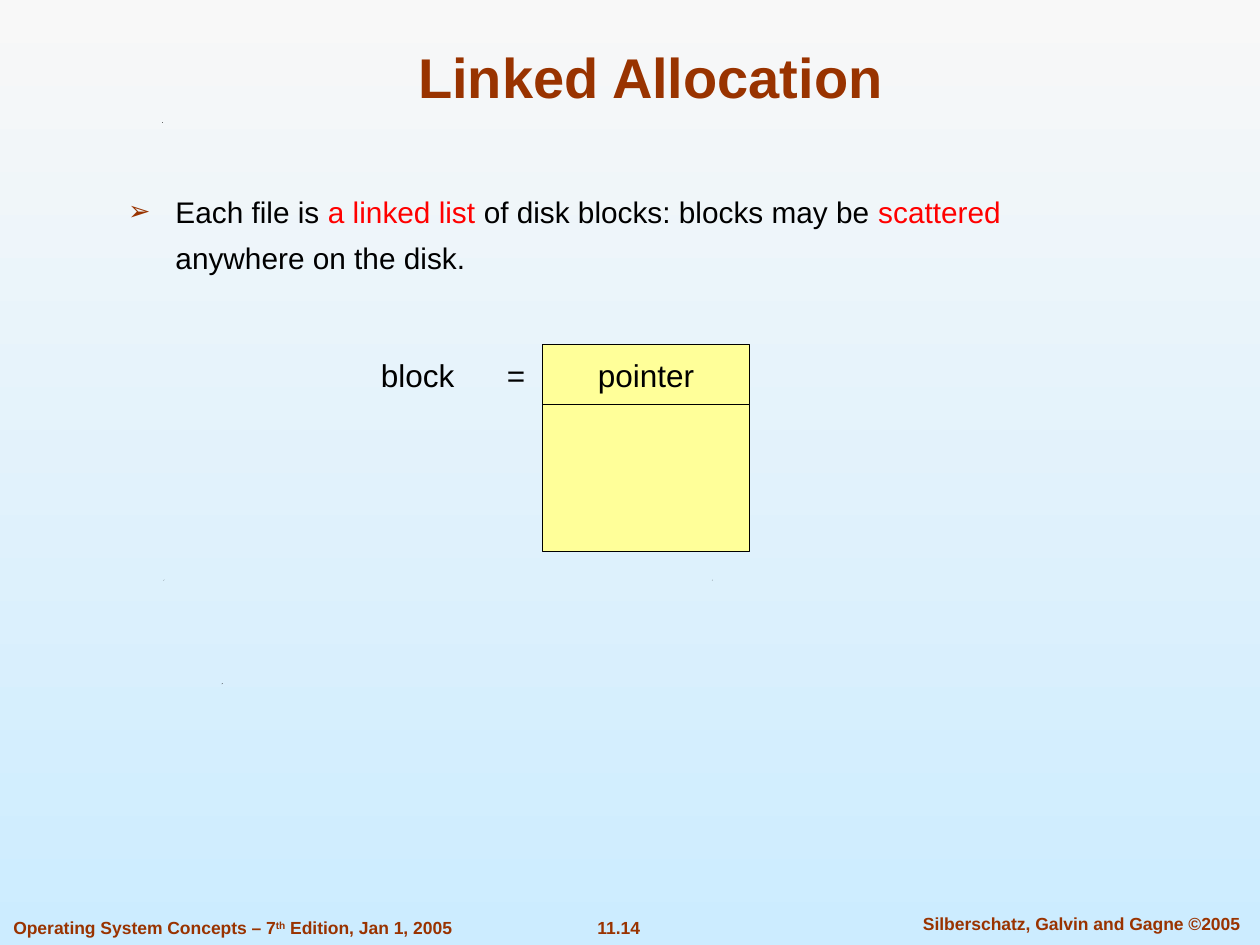
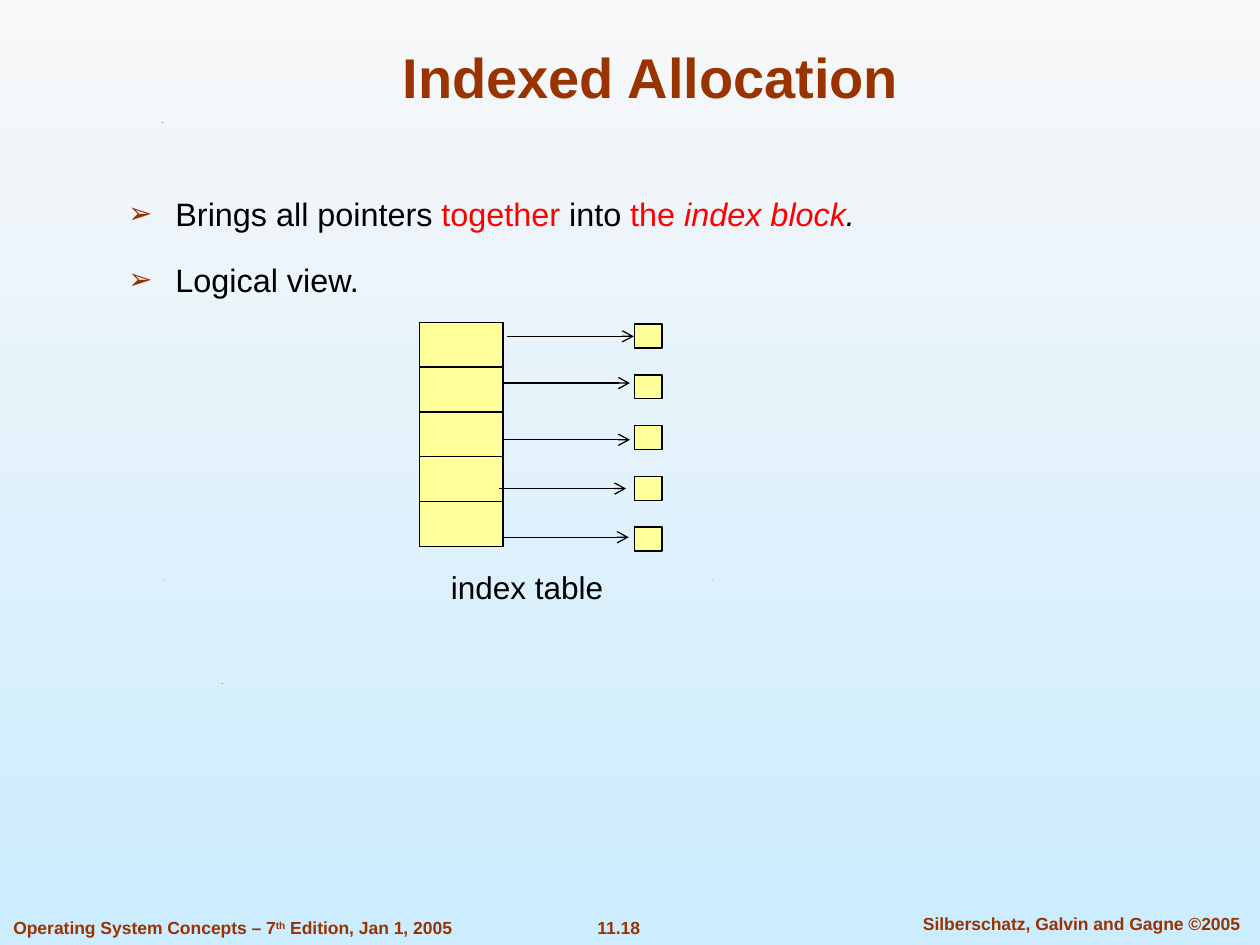
from dataclasses import dataclass

from lxml.etree import SubElement
from pptx import Presentation
from pptx.dml.color import RGBColor
from pptx.enum.shapes import MSO_CONNECTOR, MSO_SHAPE
from pptx.enum.text import MSO_ANCHOR, MSO_AUTO_SIZE, PP_ALIGN
from pptx.oxml.ns import qn
from pptx.util import Pt

RUST = RGBColor(0x99, 0x33, 0x00)
RED = RGBColor(0xFF, 0x00, 0x00)
BLACK = RGBColor(0x00, 0x00, 0x00)
YELLOW = RGBColor(0xFF, 0xFF, 0x99)
SKY_TOP = RGBColor(0xF8, 0xF8, 0xF8)
SKY_BOTTOM = RGBColor(0xCC, 0xEC, 0xFF)

FONT = "Arial"
LINE_WIDTH = 0.75
BULLET_INDENT = 27
TITLE_ONLY = 5


@dataclass(frozen=True)
class Box:
    """Position and size in points."""

    left: float
    top: float
    width: float
    height: float

    def lengths(self) -> tuple:
        """Return the four lengths for a shape call."""
        return Pt(self.left), Pt(self.top), Pt(self.width), Pt(self.height)


@dataclass(frozen=True)
class TextRun:
    """A piece of text with its own look."""

    text: str
    color: RGBColor = BLACK
    size: float = 18
    bold: bool = False
    italic: bool = False
    superscript: bool = False


TITLE_BOX = Box(54, 18, 635.8, 48.2)
SPECKS = [(92.6, 69.8), (93.4, 331.2), (406.8, 331.2), (126.7, 390.4)]
ARROW_STARTS = [(289.5, 192.2), (287.3, 218.9), (287.3, 251.3), (285.1, 279.2), (286.6, 307)]
ARROW_LENGTH = 72.7


def footer_run(text: str, superscript: bool = False) -> TextRun:
    """Return a run in the footer style."""
    return TextRun(text, RUST, 10, bold=True, superscript=superscript)


def add_run(paragraph, piece: TextRun) -> None:
    """Append one formatted run to a paragraph."""
    run = paragraph.add_run()
    run.text = piece.text
    font = run.font
    font.name = FONT
    font.size = Pt(piece.size)
    font.bold = piece.bold
    font.italic = piece.italic
    font.color.rgb = piece.color
    if piece.superscript:
        run._r.get_or_add_rPr().set("baseline", "30000")


def add_text(slide, box: Box, pieces: list[TextRun], align=PP_ALIGN.CENTER, anchor=MSO_ANCHOR.TOP):
    """Add a one-paragraph text box and return the paragraph."""
    frame = slide.shapes.add_textbox(*box.lengths()).text_frame
    frame.word_wrap = True
    frame.vertical_anchor = anchor
    paragraph = frame.paragraphs[0]
    paragraph.alignment = align
    for piece in pieces:
        add_run(paragraph, piece)
    return paragraph


def set_bullet(paragraph) -> None:
    """Give a paragraph the rust arrow bullet and a hanging indent."""
    properties = paragraph._p.get_or_add_pPr()
    properties.set("marL", str(Pt(BULLET_INDENT)))
    properties.set("indent", str(-Pt(BULLET_INDENT)))
    color = SubElement(properties, qn("a:buClr"))
    SubElement(color, qn("a:srgbClr"), val=str(RUST))
    SubElement(properties, qn("a:buSzPct"), val="90000")
    SubElement(properties, qn("a:buFont"), typeface=FONT)
    SubElement(properties, qn("a:buChar"), char="➢")


def add_bullets(slide, box: Box, bullets: list[list[TextRun]]) -> None:
    """Add the bulleted body text."""
    frame = slide.shapes.add_textbox(*box.lengths()).text_frame
    frame.word_wrap = True
    for index, pieces in enumerate(bullets):
        paragraph = frame.add_paragraph() if index else frame.paragraphs[0]
        set_bullet(paragraph)
        paragraph.line_spacing = 1.3
        if index:
            paragraph.space_before = Pt(8.8)
        for piece in pieces:
            add_run(paragraph, piece)


def add_block(slide, box: Box, label: str = "") -> None:
    """Add a yellow outlined rectangle with an optional label."""
    shape = slide.shapes.add_shape(MSO_SHAPE.RECTANGLE, *box.lengths())
    shape.shadow.inherit = False
    shape.fill.solid()
    shape.fill.fore_color.rgb = YELLOW
    shape.line.color.rgb = BLACK
    shape.line.width = Pt(LINE_WIDTH)
    if label:
        shape.text_frame.vertical_anchor = MSO_ANCHOR.MIDDLE
        paragraph = shape.text_frame.paragraphs[0]
        paragraph.alignment = PP_ALIGN.CENTER
        add_run(paragraph, TextRun(label))


def add_arrow(slide, left: float, top: float, length: float) -> None:
    """Add a horizontal arrow pointing right."""
    arrow = slide.shapes.add_connector(
        MSO_CONNECTOR.STRAIGHT, Pt(left), Pt(top), Pt(left + length), Pt(top)
    )
    arrow.line.color.rgb = BLACK
    arrow.line.width = Pt(LINE_WIDTH)
    properties = arrow.element.spPr
    SubElement(properties.find(qn("a:ln")), qn("a:tailEnd"), type="arrow")
    SubElement(properties, qn("a:effectLst"))


def add_speck(slide, left: float, top: float) -> None:
    """Add a tiny black triangle."""
    builder = slide.shapes.build_freeform(Pt(left), Pt(top + 0.5))
    builder.add_line_segments([(Pt(left + 0.5), Pt(top)), (Pt(left + 0.3), Pt(top + 0.5))])
    speck = builder.convert_to_shape()
    speck.shadow.inherit = False
    speck.fill.solid()
    speck.fill.fore_color.rgb = BLACK
    speck.line.fill.background()


def set_background(presentation) -> None:
    """Paint the shared vertical gradient on the master."""
    fill = presentation.slide_master.background.fill
    fill.gradient()
    fill.gradient_angle = 270
    for stop, position, color in zip(fill.gradient_stops, (0, 1), (SKY_TOP, SKY_BOTTOM)):
        stop.position = position
        stop.color.rgb = color


def add_base_slide(presentation, title: str, number: str):
    """Add a slide with its title, footers and specks."""
    slide = presentation.slides.add_slide(presentation.slide_layouts[TITLE_ONLY])
    for speck in SPECKS:
        add_speck(slide, *speck)
    edition = [
        footer_run("Operating System Concepts – 7"),
        footer_run("th", superscript=True),
        footer_run(" Edition, Jan 1, 2005"),
    ]
    add_text(slide, Box(0.5, 520.5, 290, 19.5), edition, PP_ALIGN.LEFT)
    add_text(slide, Box(315.4, 520.5, 76.3, 19.5), [footer_run(number)])
    authors = footer_run("Silberschatz, Galvin and Gagne ©2005")
    add_text(slide, Box(511, 518.4, 214, 19.5), [authors])

    placeholder = slide.shapes.title
    placeholder.left, placeholder.top, placeholder.width, placeholder.height = TITLE_BOX.lengths()
    frame = placeholder.text_frame
    frame.auto_size = MSO_AUTO_SIZE.NONE
    frame.vertical_anchor = MSO_ANCHOR.BOTTOM
    paragraph = frame.paragraphs[0]
    paragraph.alignment = PP_ALIGN.CENTER
    add_run(paragraph, TextRun(title, RUST, 32, bold=True))
    return slide


def add_linked_slide(presentation) -> None:
    """Build the slide on linked allocation."""
    slide = add_base_slide(presentation, "Linked Allocation", "11.14")
    size = 17
    add_bullets(slide, Box(66.2, 100.8, 579, 58.3), [[
        TextRun("Each file is ", size=size),
        TextRun("a linked list ", RED, size),
        TextRun("of disk blocks: blocks may be ", size=size),
        TextRun("scattered", RED, size),
        TextRun(" anywhere on the disk.", size=size),
    ]])
    add_block(slide, Box(310, 197, 118.3, 34), "pointer")
    add_block(slide, Box(310, 231, 118.3, 84))
    equation = add_text(
        slide, Box(210.6, 199.6, 99, 28.8), [TextRun("block\t=")], PP_ALIGN.LEFT, MSO_ANCHOR.MIDDLE
    )
    tabs = SubElement(equation._p.get_or_add_pPr(), qn("a:tabLst"))
    SubElement(tabs, qn("a:tab"), pos=str(Pt(72)), algn="l")


def add_indexed_slide(presentation) -> None:
    """Build the slide on indexed allocation."""
    slide = add_base_slide(presentation, "Indexed Allocation", "11.18")
    size = 18.5
    add_bullets(slide, Box(66.2, 100.8, 579, 73.4), [
        [
            TextRun("Brings all pointers ", size=size),
            TextRun("together", RED, size),
            TextRun(" into ", size=size),
            TextRun("the ", RED, size),
            TextRun("index block", RED, size, italic=True),
            TextRun(".", size=size, italic=True),
        ],
        [TextRun("Logical view.", size=size)],
    ])
    for row, (left, top) in enumerate(ARROW_STARTS):
        add_block(slide, Box(239.6, 184.2 + row * 25.6, 47.8, 25.6))
        add_block(slide, Box(362.4, 185.2 + row * 29, 16, 13.7))
        add_arrow(slide, left, top, ARROW_LENGTH)
    add_text(
        slide, Box(240, 321.1, 122.4, 28.8), [TextRun("index table")], anchor=MSO_ANCHOR.MIDDLE
    )


def main() -> None:
    """Build and save the presentation."""
    presentation = Presentation()
    presentation.slide_width = Pt(720)
    presentation.slide_height = Pt(540)
    set_background(presentation)
    add_linked_slide(presentation)
    add_indexed_slide(presentation)
    presentation.save("out.pptx")


if __name__ == "__main__":
    main()
